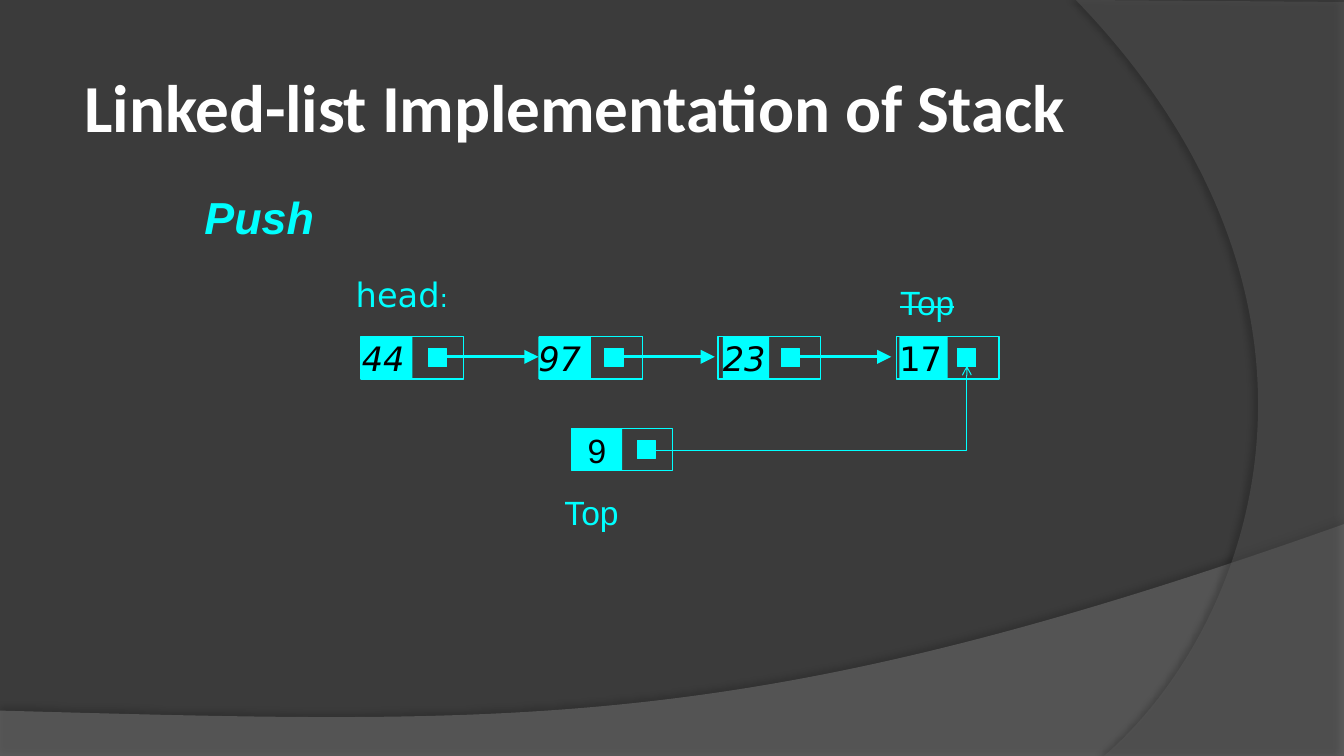
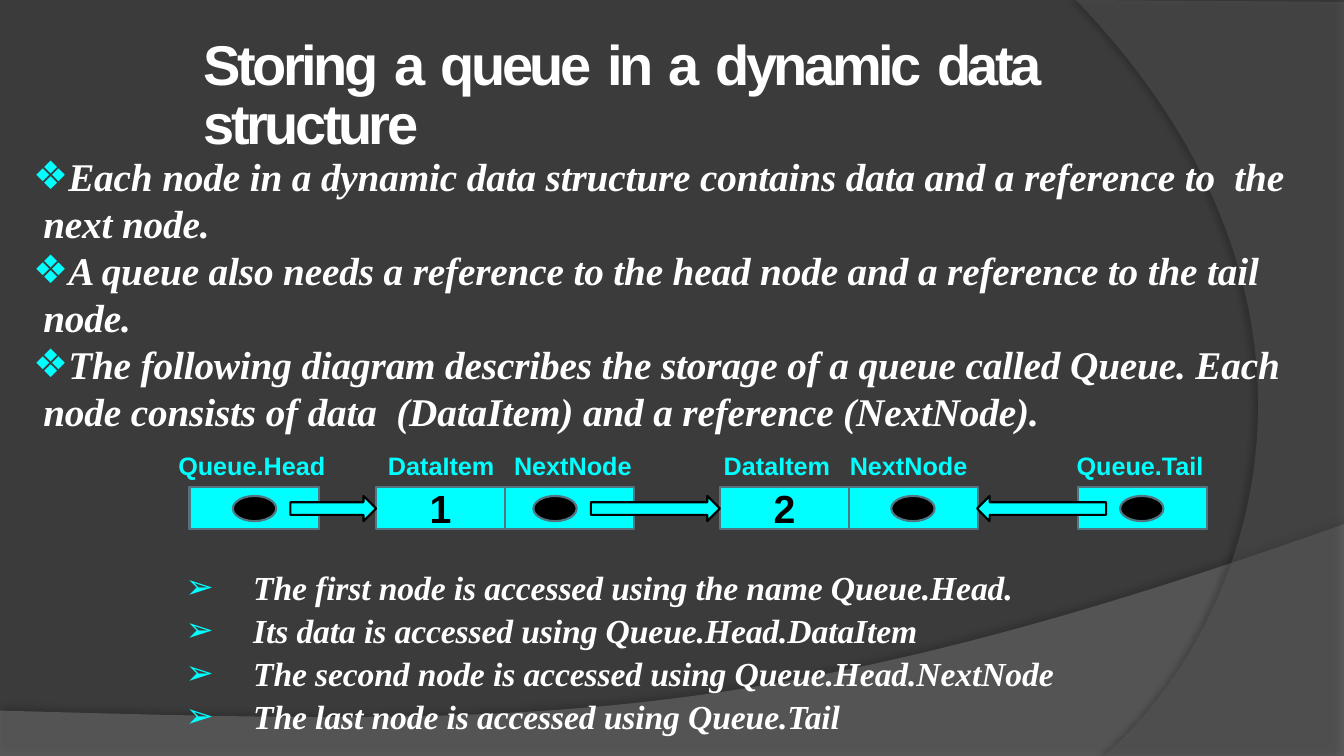
import lxml.etree
import pptx
import pptx.dml.color
import pptx.enum.shapes
import pptx.enum.text
import pptx.oxml.ns
import pptx.util

Inches = pptx.util.Inches
Pt = pptx.util.Pt
SubElement = lxml.etree.SubElement
qn = pptx.oxml.ns.qn
SHAPE = pptx.enum.shapes.MSO_SHAPE
CONNECTOR = pptx.enum.shapes.MSO_CONNECTOR
ALIGN = pptx.enum.text.PP_ALIGN
ANCHOR = pptx.enum.text.MSO_ANCHOR

COLORS = {
    name: pptx.dml.color.RGBColor.from_string(value)
    for name, value in {
        "background": "3B3B3B",
        "lower band": "7F7F7F",
        "right band": "5E5E5E",
        "cyan": "00FFFF",
        "border": "517682",
        "black": "000000",
        "white": "FFFFFF",
    }.items()
}


def set_text(shape, text, size, font="Arial", color="cyan", bold=False, italic=False,
             align=ALIGN.LEFT, anchor=ANCHOR.TOP, inset=None, spacing=0):
    """Fill a shape with one paragraph per line; spacing is in 1/100 pt."""
    frame = shape.text_frame
    frame.text = text
    frame.word_wrap = True
    frame.auto_size = pptx.enum.text.MSO_AUTO_SIZE.NONE
    frame.vertical_anchor = anchor
    if inset is not None:
        frame.margin_left = frame.margin_right = Inches(inset)
        frame.margin_top = frame.margin_bottom = Inches(inset)
    for paragraph in frame.paragraphs:
        paragraph.alignment = align
        paragraph.font.name = font
        paragraph.font.size = Pt(size)
        paragraph.font.bold = bold
        paragraph.font.italic = italic
        paragraph.font.color.rgb = COLORS[color]
        if spacing:
            for run in paragraph.runs:
                run._r.get_or_add_rPr().set("spc", str(spacing))
    return frame


def add_box(slide, preset, left, top, width, height, fill, line=None, line_width=1.5):
    """Add a preset shape; fill or line may be None."""
    shape = slide.shapes.add_shape(
        preset, Inches(left), Inches(top), Inches(width), Inches(height))
    shape.shadow.inherit = False
    if fill:
        shape.fill.solid()
        shape.fill.fore_color.rgb = COLORS[fill]
    else:
        shape.fill.background()
    if line:
        shape.line.color.rgb = COLORS[line]
        shape.line.width = Pt(line_width)
    else:
        shape.line.fill.background()
    return shape


presentation = pptx.Presentation()
presentation.slide_width = Inches(13.33)
presentation.slide_height = Inches(7.5)
layout = presentation.slide_layouts[5]
layout.background.fill.solid()
layout.background.fill.fore_color.rgb = COLORS["background"]
stack_slide = presentation.slides.add_slide(layout)
queue_slide = presentation.slides.add_slide(layout)

# Bands on the layout: straight corners, then one curve back to the start.
bands = [
    # color, opacity, shadow opacity, shadow distance, shadow angle, corners, curve
    ("lower band", 45, 35, 3.5, 270, [(0, 7.5), (13.33, 7.5), (13.33, 5.2)],
     [(7.45, 7.29), (5.21, 7.19), (0, 7.05)]),
    ("right band", 40, 45, 4, 180, [(13.33, 0.02), (13.33, 7.5), (10.95, 7.5)],
     [(12.46, 6.19), (13.57, 3), (10.67, 0)]),
]
for index, (color, opacity, shadow_opacity, distance, angle, corners, curve) in enumerate(bands):
    points = [(Inches(x), Inches(y)) for x, y in corners + curve[-1:]]
    builder = stack_slide.shapes.build_freeform(*points[0])
    builder.add_line_segments(points[1:], close=True)
    band = builder.convert_to_shape()
    band.fill.solid()
    band.fill.fore_color.rgb = COLORS[color]
    band.line.fill.background()
    band.shadow.inherit = False
    properties = band.element.spPr

    last_line = list(properties.iter(qn("a:lnTo")))[-1]
    bezier = lxml.etree.Element(qn("a:cubicBezTo"))
    for x, y in curve:
        SubElement(bezier, qn("a:pt"),
                   x=str(Inches(x) - band.left), y=str(Inches(y) - band.top))
    last_line.getparent().replace(last_line, bezier)

    fill_color = properties.find(qn("a:solidFill")).find(qn("a:srgbClr"))
    SubElement(fill_color, qn("a:alpha"), val=str(opacity * 1000))
    shadow = SubElement(
        properties.find(qn("a:effectLst")), qn("a:outerShdw"), blurRad=str(Pt(4)),
        dist=str(Pt(distance)), dir=str(angle * 60000), rotWithShape="0")
    shadow_color = SubElement(shadow, qn("a:srgbClr"), val=str(COLORS["black"]))
    SubElement(shadow_color, qn("a:alpha"), val=str(shadow_opacity * 1000))
    layout.shapes.element.insert(2 + index, band.element)

titles = [
    (stack_slide, "Linked-list Implementation of Stack", "Calibri", 48, 0.84, 0.64, 11.57, 0.82),
    (queue_slide, "", "Arial", 40, 2.02, 0.37, 9.82, 1.17),
]
for slide, text, font, size, left, top, width, height in titles:
    title = slide.shapes.title
    title.left, title.top = Inches(left), Inches(top)
    title.width, title.height = Inches(width), Inches(height)
    set_text(title, text, size, font, "white", bold=True, anchor=ANCHOR.MIDDLE,
             inset=0, spacing=-10)

# The queue title has tight words with normal gaps between them.
paragraph = queue_slide.shapes.title.text_frame.paragraphs[0]
paragraph.line_spacing = Pt(42.2)
for index, word in enumerate("Storing a queue in a dynamic data structure".split()):
    if index:
        paragraph.add_run().text = " "
    run = paragraph.add_run()
    run.text = word
    run._r.get_or_add_rPr().set("spc", "-250")

# Slide 1: linked nodes
CELL_HEIGHT, SQUARE = 0.42, 0.18
CHAIN_TOP, LINK_STEP = 3.34, 1.75
nodes = [
    # left, top, cell width, data left, square left, value, font, italic, alignment
    (3.58 + 1.77 * index, CHAIN_TOP, 0.51, data_left, 4.25 + LINK_STEP * index, value,
     "DejaVu Sans", italic, ALIGN.LEFT)
    for index, (data_left, value, italic) in enumerate(
        [(3.59, "44", True), (5.34, "97", True), (7.17, "23", True), (8.92, "17", False)])
]
nodes.append((5.67, 4.25, 0.5, 5.67, 6.32, "9", "Arial", False, ALIGN.CENTER))
for left, top, cell_width, data_left, square_left, value, font, italic, align in nodes:
    add_box(stack_slide, SHAPE.RECTANGLE, left, top, 2 * cell_width, CELL_HEIGHT,
            None, "cyan", 1)
    data = add_box(stack_slide, SHAPE.RECTANGLE, data_left, top,
                   left + cell_width - data_left, CELL_HEIGHT, "cyan")
    set_text(data, value, 24, font, "black", italic=italic, align=align,
             anchor=ANCHOR.MIDDLE, inset=0, spacing=-10)
    add_box(stack_slide, SHAPE.RECTANGLE, square_left, top + (CELL_HEIGHT - SQUARE) / 2,
            SQUARE, SQUARE, "cyan", "cyan", 0.75)

links = [
    (CONNECTOR.STRAIGHT, 4.34 + LINK_STEP * index, 3.54, 5.34 + LINK_STEP * index, 3.54,
     2, "triangle", "lg")
    for index in range(3)
]
links.append((CONNECTOR.ELBOW, 6.42, 4.47, 9.59, 3.63, 0.75, "arrow", "med"))
for kind, start_x, start_y, end_x, end_y, line_width, arrowhead, head_size in links:
    link = stack_slide.shapes.add_connector(
        kind, Inches(start_x), Inches(start_y), Inches(end_x), Inches(end_y))
    link.line.color.rgb = COLORS["cyan"]
    link.line.width = Pt(line_width)
    properties = link.element.spPr
    if kind == CONNECTOR.ELBOW:
        properties.find(qn("a:prstGeom")).set("prst", "bentConnector2")
    SubElement(properties.find(qn("a:ln")), qn("a:tailEnd"),
               type=arrowhead, w=head_size, len=head_size)
    SubElement(properties, qn("a:effectLst"))

stack_labels = [
    # text, left, top, width, height, size, font, bold and italic, struck out
    ("Push", 1.93, 1.83, 1.5, 0.64, 32, "Arial", True, False),
    ("head", 3.43, 2.67, 1.49, 0.5, 24, "DejaVu Sans", False, False),
    ("Top", 8.83, 2.75, 1.42, 0.5, 24, "Arial", False, True),
    ("Top", 5.5, 4.83, 1.25, 0.5, 24, "Arial", False, False),
]
for text, left, top, width, height, size, font, emphasis, struck in stack_labels:
    label = stack_slide.shapes.add_textbox(
        Inches(left), Inches(top), Inches(width), Inches(height))
    paragraph = set_text(label, text, size, font, bold=emphasis, italic=emphasis).paragraphs[0]
    if struck:
        paragraph.runs[0]._r.get_or_add_rPr().set("strike", "sngStrike")
    if text == "head":
        colon = paragraph.add_run()
        colon.text = ":"
        colon.font.size = Pt(18)

# Slide 2: bulleted lists
facts = [
    "Each node in a dynamic data structure contains data and a reference to  the next node.",
    "A queue also needs a reference to the head node and a reference to the tail node.",
    "The following diagram describes the storage of a queue called Queue. "
    "Each node consists of data  (DataItem) and a reference (NextNode).",
]
accesses = [
    "The first node is accessed using the name Queue.Head.",
    "Its data is accessed using Queue.Head.DataItem",
    "The second node is accessed using Queue.Head.NextNode",
    "The last node is accessed using Queue.Tail",
]
bullet_lists = [
    # items, bullet, size, indent, space before, left, top, width, height
    (facts, "❖", 28, 0.1, 0, 0.33, 1.51, 12.83, 2.83),
    (accesses, "➢", 24, 0.67, 2.1, 1.84, 5.62, 9.25, 1.7),
]
for items, bullet, size, indent, space_before, left, top, width, height in bullet_lists:
    box = queue_slide.shapes.add_textbox(
        Inches(left), Inches(top), Inches(width), Inches(height))
    frame = set_text(box, "\n".join(items), size, "Times New Roman", "white",
                     bold=True, italic=True, inset=0, spacing=-8)
    for paragraph in frame.paragraphs:
        paragraph.space_before = Pt(space_before)
        properties = paragraph._p.get_or_add_pPr()
        properties.set("marL", str(Inches(indent)))
        properties.set("indent", str(-Inches(indent)))
        bullet_color = lxml.etree.Element(qn("a:buClr"))
        SubElement(bullet_color, qn("a:srgbClr"), val=str(COLORS["cyan"]))
        bullet_font = lxml.etree.Element(qn("a:buFont"), typeface="DejaVu Sans")
        bullet_char = lxml.etree.Element(qn("a:buChar"), char=bullet)
        for element in (bullet_color, bullet_font, bullet_char):
            properties.insert_element_before(element, "a:tabLst", "a:defRPr", "a:extLst")

# Slide 2: queue diagram
CELL_TOP, QUEUE_CELL_WIDTH = 4.83, 1.28
POINTER_TOP, POINTER_HEIGHT = 4.92, 0.25
queue_cells = [
    # label, label left, cell left, value, dot left
    ("Queue.Head", 1.67, 1.88, "", 2.31),
    ("DataItem", 3.75, 3.73, "1", None),
    ("NextNode", 5, 5.01, "", 5.29),
    ("DataItem", 7.08, 7.14, "2", None),
    ("NextNode", 8.33, 8.42, "", 8.84),
    ("Queue.Tail", 10.58, 10.69, "", 11.11),
]
for text, label_left, cell_left, value, dot_left in queue_cells:
    label = queue_slide.shapes.add_textbox(
        Inches(label_left), Inches(4.42), Inches(1.5), Inches(0.4))
    set_text(label, text, 18, bold=True).word_wrap = False
    cell = add_box(queue_slide, SHAPE.RECTANGLE, cell_left, CELL_TOP,
                   QUEUE_CELL_WIDTH, CELL_HEIGHT, "cyan", "border")
    if value:
        set_text(cell, value, 28, color="black", bold=True,
                 align=ALIGN.CENTER, anchor=ANCHOR.MIDDLE, inset=0)
    if dot_left:
        add_box(queue_slide, SHAPE.OVAL, dot_left, POINTER_TOP, 0.43, POINTER_HEIGHT,
                "black", "border")

for preset, left, width in [
    (SHAPE.RIGHT_ARROW, 2.88, 0.85),
    (SHAPE.RIGHT_ARROW, 5.86, 1.28),
    (SHAPE.LEFT_ARROW, 9.69, 1.28),
]:
    add_box(queue_slide, preset, left, POINTER_TOP, width, POINTER_HEIGHT, "cyan", "black")

presentation.save("out.pptx")
